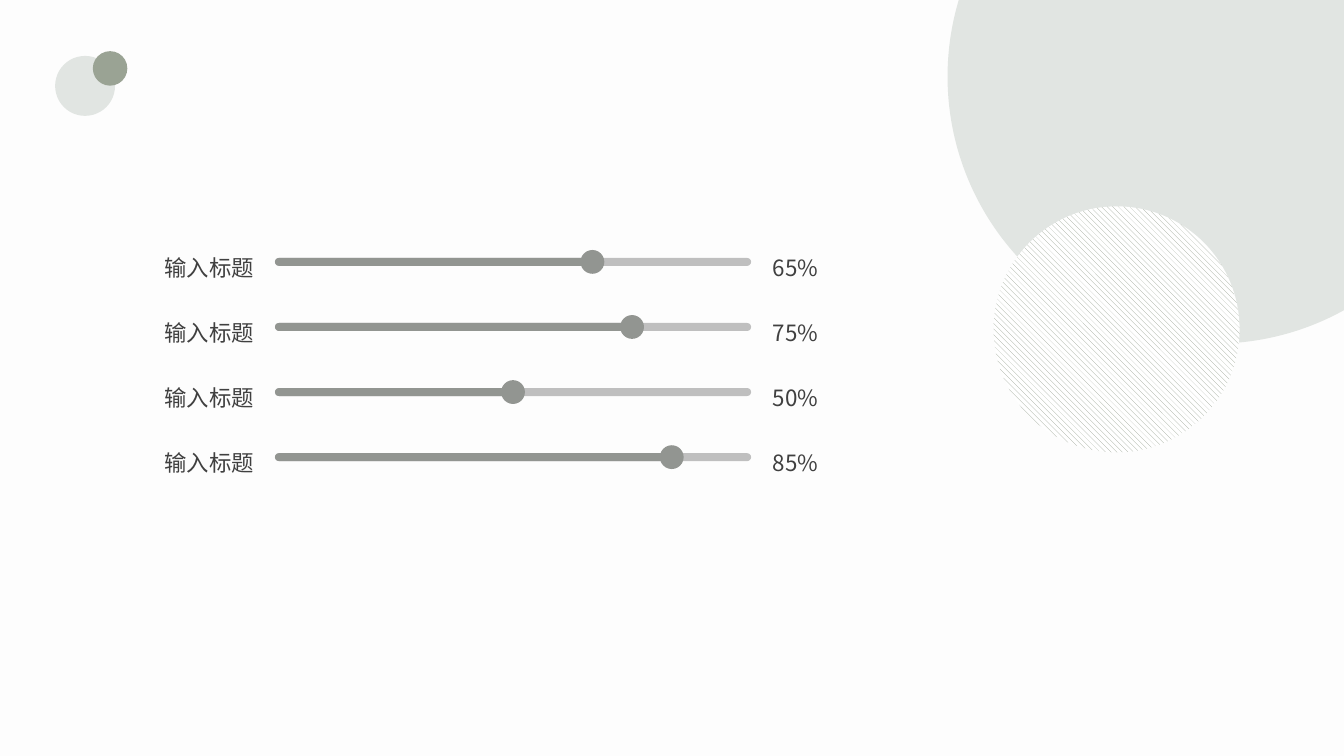
from lxml.etree import SubElement
from pptx import Presentation
from pptx.dml.color import RGBColor
from pptx.enum.dml import MSO_PATTERN_TYPE as Pattern
from pptx.enum.shapes import MSO_SHAPE as Shape
from pptx.enum.text import MSO_AUTO_SIZE as AutoSize, PP_ALIGN as Align
from pptx.oxml.ns import qn
from pptx.util import Cm, Pt

PAPER = RGBColor(0xFD, 0xFD, 0xFD)
MIST = RGBColor(0xE1, 0xE5, 0xE2)
SAGE = RGBColor(0x9A, 0xA3, 0x94)
WHITE = RGBColor(0xFF, 0xFF, 0xFF)
TRACK = RGBColor(0xBF, 0xBF, 0xBF)
LEVEL = RGBColor(0x92, 0x95, 0x91)
INK = RGBColor(0x40, 0x40, 0x40)

SLIDERS = [("65%", 2 / 3), ("75%", 3 / 4), ("50%", 1 / 2), ("85%", 5 / 6)]
FIRST_ROW, ROW_PITCH = 6.6, 1.64
BAR_LEFT, BAR_WIDTH, BAR_HEIGHT = 6.93, 12, 0.2
KNOB = 0.6


class SlideBuilder:
    font_name = "Noto Sans CJK SC"
    font_size = Pt(16)

    def __init__(self, slide):
        self.slide = slide
        background = slide.background.fill
        background.solid()
        background.fore_color.rgb = PAPER

    def shape(self, kind, left, top, width, height, color):
        shape = self.slide.shapes.add_shape(
            kind, Cm(left), Cm(top), Cm(width), Cm(height))
        shape.shadow.inherit = False
        shape.line.fill.background()
        shape.fill.solid()
        shape.fill.fore_color.rgb = color
        return shape

    def circle(self, left, top, diameter, color):
        return self.shape(Shape.OVAL, left, top, diameter, diameter, color)

    def hatched_circle(self, left, top, diameter):
        fill = self.circle(left, top, diameter, WHITE).fill
        fill.patterned()
        fill.pattern = Pattern.WIDE_DOWNWARD_DIAGONAL
        fill.fore_color.rgb = SAGE
        fill.back_color.rgb = WHITE

    def bar(self, middle, width, color):
        bar = self.shape(Shape.ROUNDED_RECTANGLE, BAR_LEFT,
                         middle - BAR_HEIGHT / 2, width, BAR_HEIGHT, color)
        bar.adjustments[0] = 0.5

    def slider(self, middle, share):
        filled = BAR_WIDTH * share
        self.bar(middle, BAR_WIDTH, TRACK)
        self.bar(middle, filled, LEVEL)
        self.circle(BAR_LEFT + filled - KNOB / 2, middle - KNOB / 2, KNOB, LEVEL)

    def text(self, left, top, width, words, align):
        frame = self.slide.shapes.add_textbox(
            Cm(left), Cm(top), Cm(width), Cm(1.04)).text_frame
        frame.word_wrap = False
        frame.auto_size = AutoSize.SHAPE_TO_FIT_TEXT
        paragraph = frame.paragraphs[0]
        paragraph.text = words
        paragraph.alignment = align
        paragraph.line_spacing = 1.25
        paragraph.space_after = Pt(8)
        font = paragraph.font
        font.size = self.font_size
        font.color.rgb = INK
        font.name = self.font_name
        defaults = paragraph._p.pPr.find(qn("a:defRPr"))
        SubElement(defaults, qn("a:ea"), typeface=self.font_name)


def main():
    presentation = Presentation()
    presentation.slide_width = Cm(33.87)
    presentation.slide_height = Cm(19.05)
    builder = SlideBuilder(
        presentation.slides.add_slide(presentation.slide_layouts[6]))

    builder.circle(1.39, 1.41, 1.51, MIST)
    builder.circle(2.34, 1.29, 0.87, SAGE)

    for row, (percent, share) in enumerate(SLIDERS):
        middle = FIRST_ROW + row * ROW_PITCH
        builder.slider(middle, share)
        builder.text(3.86, middle - 0.5, 2.79, "输入标题", Align.RIGHT)
        builder.text(19.23, middle - 0.5, 1.68, percent, Align.LEFT)

    builder.circle(23.88, -4.8, 13.46, MIST)
    builder.hatched_circle(25.04, 5.2, 6.2)

    presentation.save("out.pptx")


if __name__ == "__main__":
    main()
